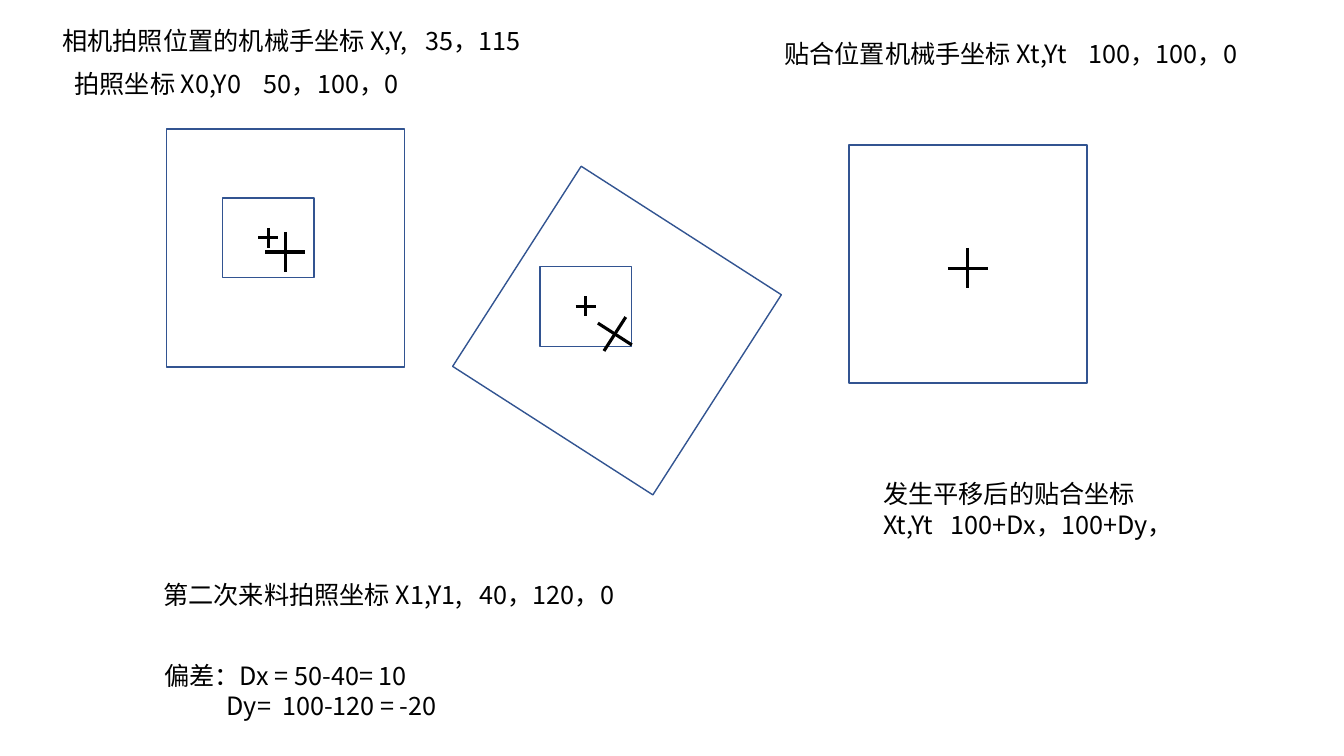
from dataclasses import dataclass
from math import cos, radians, sin

from lxml.etree import SubElement as Sub
from pptx import Presentation as Deck
from pptx.dml.color import RGBColor as Color
from pptx.enum.shapes import MSO_CONNECTOR as Link, MSO_SHAPE as Form
from pptx.oxml.ns import qn
from pptx.shapes.group import GroupShape as Group
from pptx.slide import Slide
from pptx.util import Inches, Length, Pt


@dataclass(frozen=True)
class Theme:
    font: str = "Noto Sans CJK SC"
    size: float = 18
    ink: Color = Color(0x00, 0x00, 0x00)
    edge: Color = Color(0x32, 0x54, 0x91)
    paper: Color = Color(0xFF, 0xFF, 0xFF)
    thin: float = 1
    thick: float = 2.25


@dataclass(frozen=True)
class Note:
    """Text box in grid cells; tabs are stops counted from its text edge."""
    col: float
    row: float
    wide: float
    high: float
    text: str
    tabs: tuple[float, ...] = ()


@dataclass(frozen=True)
class Part:
    """Box around a centre, with a cross of two equal lines."""
    col: float
    row: float
    wide: float
    high: float
    arm: float
    drop: float = 0  # cross centre below box centre
    turn: float = 0
    solid: bool = False


THEME = Theme()
CELL = 0.1  # inches per grid column and row
SIDE = 23.6  # large square, in cells

NOTES = [
    Note(76.8, 3.3, 46.9, 7.1, "贴合位置机械手坐标 Xt,Yt\t100，100，0", (30.2,)),
    Note(6.4, 6.3, 35.4, 4, "拍照坐标 X0,Y0\t50，100，0", (18.8,)),
    Note(15.2, 57, 49.8, 4, "第二次来料拍照坐标 X1,Y1,\t40，120，0", (31.4,)),
    Note(15.3, 65, 39.3, 7.1,
         "偏差：Dx = 50-40= 10\n\tDy=\t100-120 = -20", (6.2, 11.7)),
    Note(86.6, 47, 31.4, 7.1,
         "发生平移后的贴合坐标 Xt,Yt\t100+Dx，100+Dy，", (6.7,)),
    Note(5.2, 2, 56.5, 4, "相机拍照位置的机械手坐标 X,Y,\t35，115", (36,)),
]

PARTS = [
    Part(96, 26.2, SIDE, SIDE, 2, drop=0.4),
    Part(26.6, 23.6, 9.1, 7.9, 1, solid=True),
    Part(28.3, 24.6, SIDE, SIDE, 2, drop=0.4),
    Part(58.1, 30.4, 9.1, 7.9, 1, solid=True),
    Part(61.2, 32.8, SIDE, SIDE, 2, drop=0.4, turn=32.7),
]


def grid(cells: float) -> Length:
    return Inches(cells * CELL)


def write(slide: Slide, note: Note) -> None:
    box = slide.shapes.add_textbox(
        grid(note.col), grid(note.row), grid(note.wide), grid(note.high))
    frame = box.text_frame
    frame.word_wrap = True
    frame.text = note.text
    for para in frame.paragraphs:
        # Tab stops line up the values
        stops = Sub(para._p.get_or_add_pPr(), qn("a:tabLst"))
        for stop in note.tabs:
            Sub(stops, qn("a:tab"), pos=str(grid(stop)), algn="l")
        for run in para.runs:
            font = run.font
            font.name, font.size = THEME.font, Pt(THEME.size)
            font.color.rgb = THEME.ink
            Sub(run._r.get_or_add_rPr(), qn("a:ea"), typeface=THEME.font)


def stroke(group: Group, col: float, row: float, arm: float,
           turn: float) -> None:
    """Line through a centre at the given angle."""
    dx, dy = arm * cos(radians(turn)), arm * sin(radians(turn))
    line = group.shapes.add_connector(
        Link.STRAIGHT, grid(col - dx), grid(row - dy),
        grid(col + dx), grid(row + dy))
    line.line.color.rgb = THEME.ink
    line.line.width = Pt(THEME.thick)
    Sub(line._element.spPr, qn("a:effectLst"))


def draw(slide: Slide, part: Part) -> None:
    group = slide.shapes.add_group_shape()
    # Outline
    box = group.shapes.add_shape(
        Form.RECTANGLE, grid(part.col - part.wide / 2),
        grid(part.row - part.high / 2), grid(part.wide), grid(part.high))
    box.rotation = part.turn
    box.shadow.inherit = False
    box.line.color.rgb = THEME.edge
    box.line.width = Pt(THEME.thin)
    if part.solid:
        box.fill.solid()
        box.fill.fore_color.rgb = THEME.paper
    else:
        box.fill.background()
    # Cross, turned with its box
    angle = radians(part.turn)
    col = part.col - part.drop * sin(angle)
    row = part.row + part.drop * cos(angle)
    for turn in (part.turn, part.turn + 90):
        stroke(group, col, row, part.arm, turn)


def main() -> None:
    deck = Deck()
    deck.slide_width, deck.slide_height = Inches(13.33), Inches(7.5)
    slide = deck.slides.add_slide(deck.slide_layouts[6])
    for note in NOTES:
        write(slide, note)
    for part in PARTS:
        draw(slide, part)
    deck.save("out.pptx")


if __name__ == "__main__":
    main()
